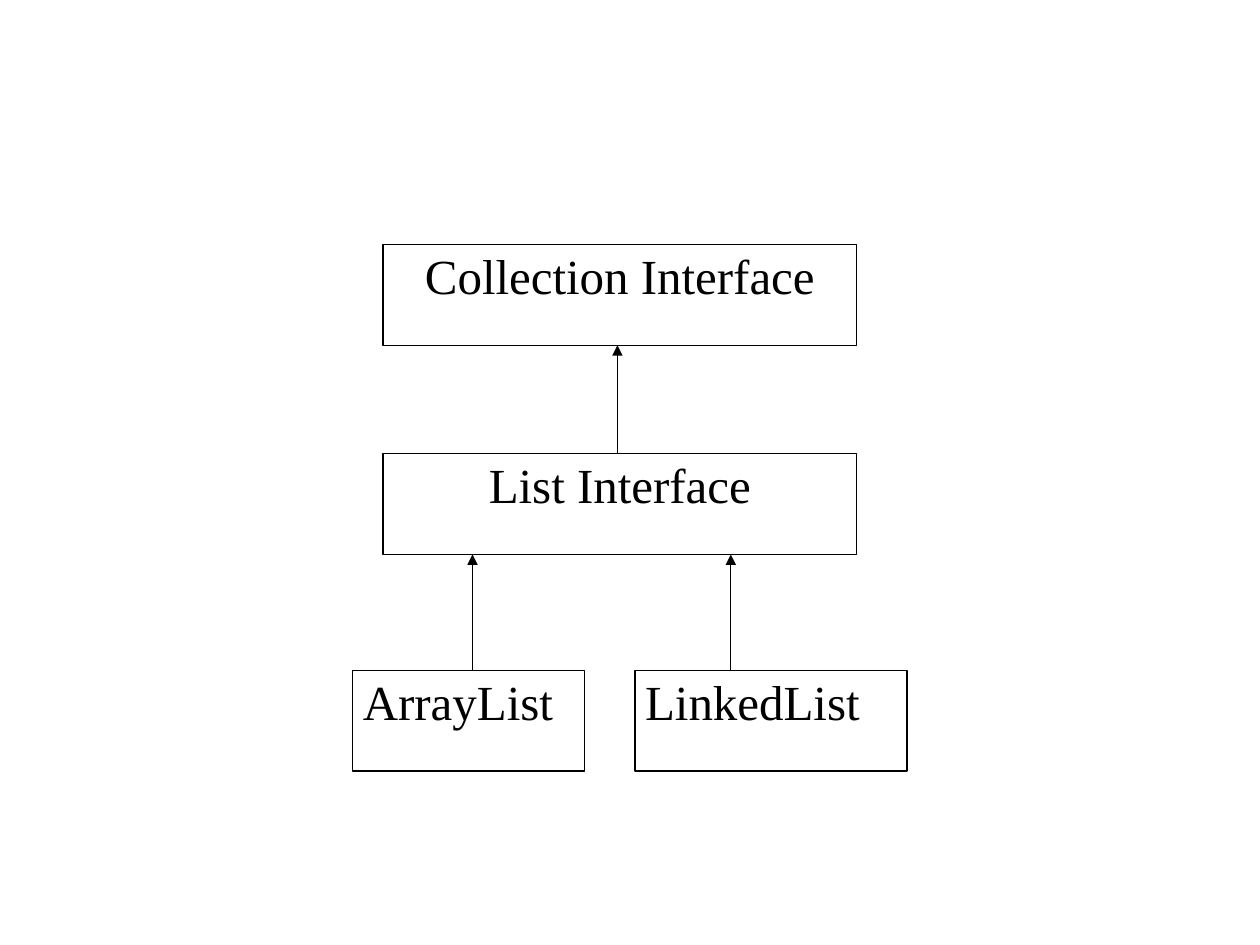
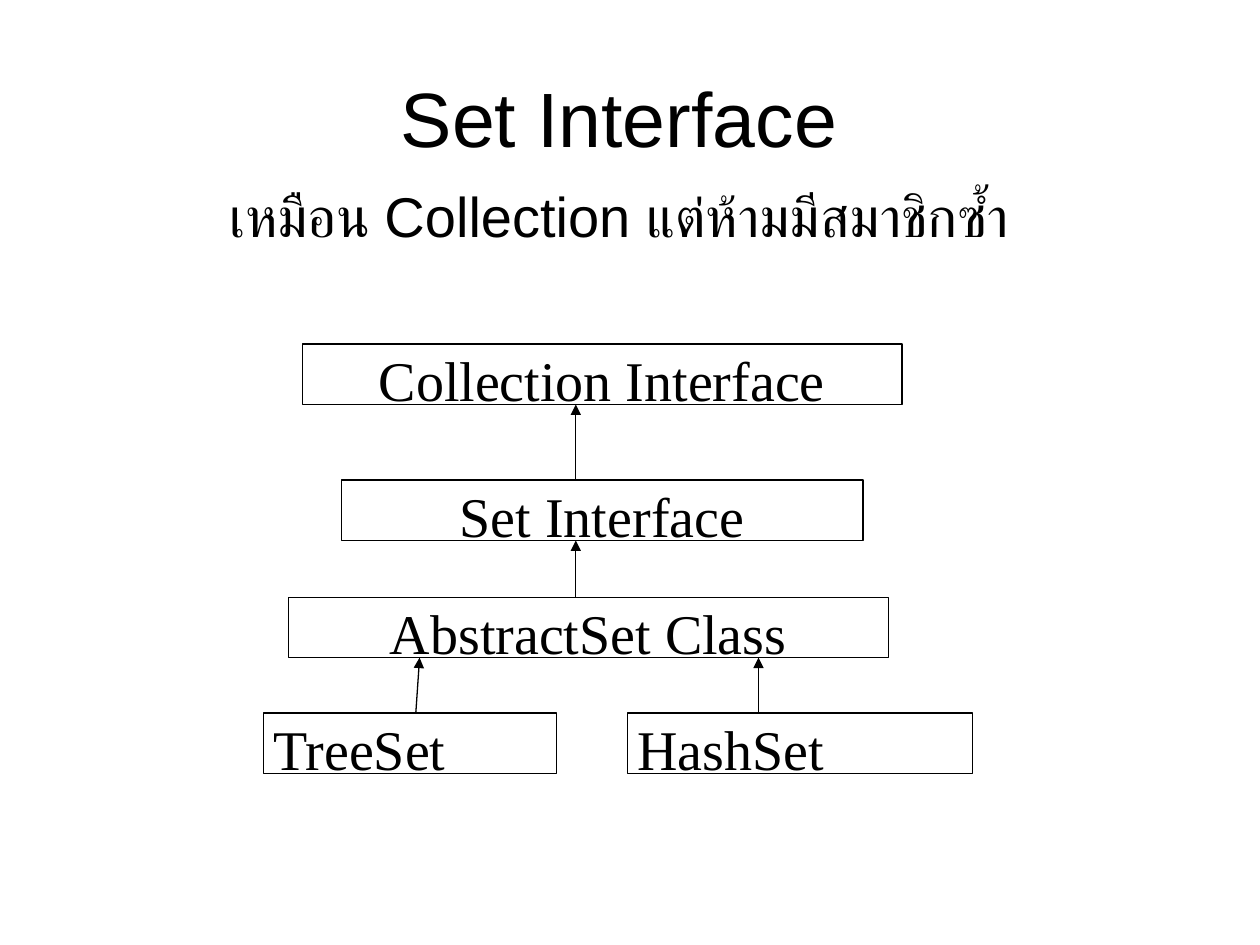
from lxml.etree import SubElement
from pptx import Presentation
from pptx.dml.color import RGBColor
from pptx.enum.shapes import MSO_CONNECTOR, MSO_SHAPE
from pptx.enum.text import MSO_ANCHOR, PP_ALIGN
from pptx.oxml.ns import qn
from pptx.util import Pt

PX = 9144  # 100 px to the inch
COLORS = {"ink": "000000", "paper": "FFFFFF"}
SANS, SERIF = "Arial", "Times New Roman"


def px(*lengths):
    return [length * PX for length in lengths]


def color(name):
    return RGBColor.from_string(COLORS[name])


# Shared text and line style
def write(frame, text, size, font, align, anchor=MSO_ANCHOR.TOP, insets=(10, 5)):
    frame.vertical_anchor = anchor
    frame.margin_left = frame.margin_right = insets[0] * PX
    frame.margin_top = frame.margin_bottom = insets[1] * PX
    paragraph = frame.paragraphs[0]
    paragraph.alignment = align
    run = paragraph.add_run()
    run.text = text
    run.font.size = Pt(size)
    run.font.name = font
    run.font.color.rgb = color("ink")


def draw_line(line):
    line.color.rgb = color("ink")
    line.width = Pt(0.75)


# Diagram parts
def add_type_box(slide, box, text, size, align):
    shape = slide.shapes.add_shape(MSO_SHAPE.RECTANGLE, *px(*box))
    shape.shadow.inherit = False
    shape.fill.solid()
    shape.fill.fore_color.rgb = color("paper")
    draw_line(shape.line)
    shape.text_frame.word_wrap = True
    write(shape.text_frame, text, size, SERIF, align, insets=(8, 1))


def add_arrow(slide, start, end):
    arrow = slide.shapes.add_connector(MSO_CONNECTOR.STRAIGHT, *px(*start, *end))
    draw_line(arrow.line)
    properties = arrow.element.spPr
    SubElement(properties.find(qn("a:ln")), qn("a:tailEnd"), type="triangle")
    SubElement(properties, qn("a:effectLst"))


def add_hierarchy(slide, origin, box_height, size, parents, leaves, arrows):
    """Boxes are (text, x, y, width); arrows are (x, y, tip x, tip y)."""
    left, top = origin
    for boxes, align in ((parents, PP_ALIGN.CENTER), (leaves, PP_ALIGN.LEFT)):
        for text, x, y, width in boxes:
            add_type_box(slide, (left + x, top + y, width, box_height),
                         text, size, align)
    for x, y, tip_x, tip_y in arrows:
        add_arrow(slide, (left + x, top + y), (left + tip_x, top + tip_y))


# Headings
def add_heading(slide, box, text):
    title = slide.shapes.title
    title.left, title.top, title.width, title.height = px(*box)
    write(title.text_frame, text, 44, SANS, PP_ALIGN.CENTER, MSO_ANCHOR.MIDDLE)


def add_subtitle(slide, box, text):
    caption = slide.shapes.add_textbox(*px(*box))
    caption.text_frame.word_wrap = False
    write(caption.text_frame, text, 32, SANS, PP_ALIGN.LEFT)


# Slides
def build_list_slide(presentation):
    slide = presentation.slides.add_slide(presentation.slide_layouts[6])
    add_hierarchy(
        slide, (280, 194), 80, 28,
        parents=[("Collection Interface", 24, 0, 376),
                 ("List Interface", 24, 166, 376)],
        leaves=[("ArrayList", 0, 338, 184), ("LinkedList", 224, 338, 216)],
        arrows=[(210, 166, 210, 80), (95, 338, 95, 246), (300, 338, 300, 246)])


def build_set_slide(presentation):
    slide = presentation.slides.add_slide(presentation.slide_layouts[5])
    add_heading(slide, (50, 30, 900, 125), "Set Interface ")
    add_hierarchy(
        slide, (209, 273), 48, 32,
        parents=[("Collection Interface", 31, 0, 476),
                 ("Set Interface", 62, 108, 414),
                 ("AbstractSet Class", 20, 201, 476)],
        leaves=[("TreeSet", 0, 293, 233), ("HashSet", 289, 293, 274)],
        arrows=[(248, 108, 248, 48), (248, 201, 248, 156),
                (121, 293, 124, 249), (393, 293, 393, 249)])
    add_subtitle(slide, (172, 139, 639, 64), "เหมือน Collection แต่ห้ามมีสมาชิกซ้ำ")


def main():
    presentation = Presentation()
    presentation.slide_width, presentation.slide_height = px(1000, 750)
    build_list_slide(presentation)
    build_set_slide(presentation)
    presentation.save("out.pptx")


if __name__ == "__main__":
    main()
